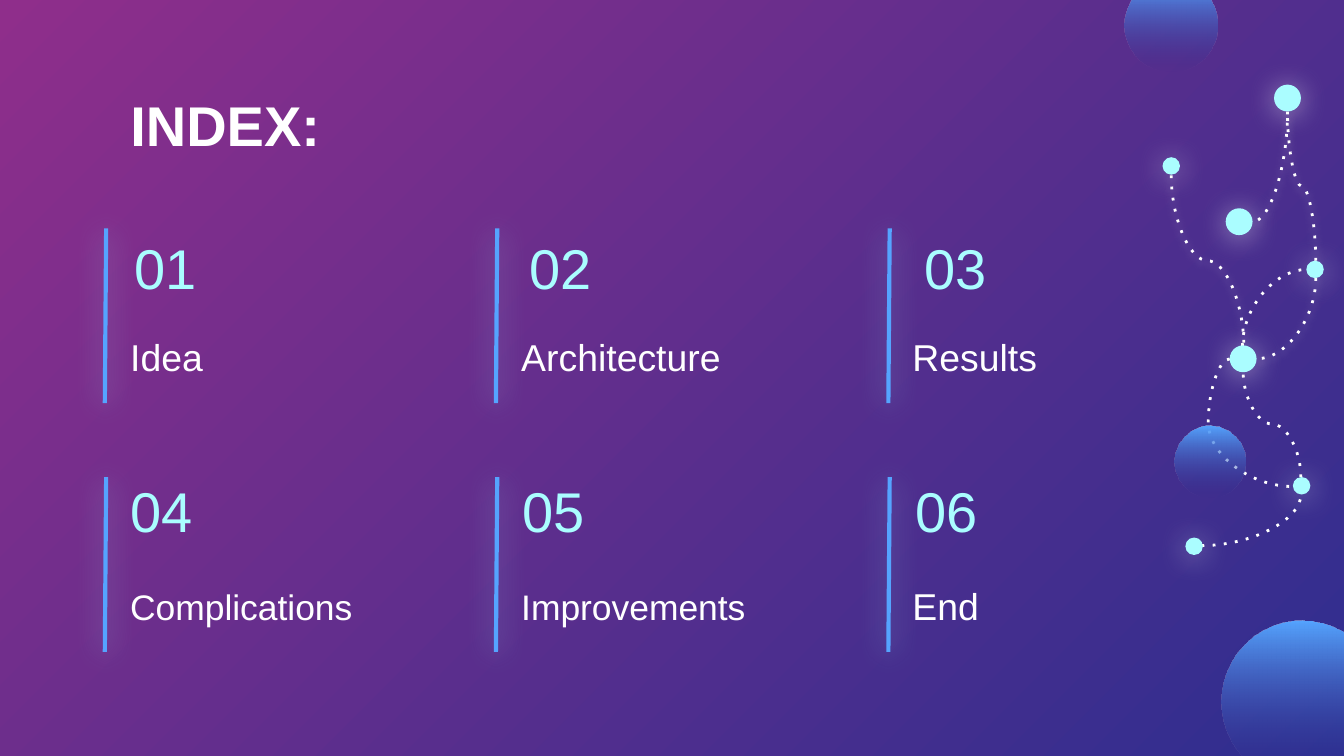
"""Build the index slide with six numbered topics and a dotted constellation."""
from dataclasses import dataclass
from typing import Optional

from lxml import etree
from pptx import Presentation
from pptx.dml.color import RGBColor
from pptx.enum.dml import MSO_LINE
from pptx.enum.shapes import MSO_CONNECTOR, MSO_SHAPE
from pptx.enum.text import MSO_ANCHOR, PP_ALIGN
from pptx.oxml.ns import qn
from pptx.util import Inches, Pt

STRAIGHT, CURVE = MSO_CONNECTOR.STRAIGHT, MSO_CONNECTOR.CURVE
OVAL = MSO_SHAPE.OVAL
ROUND_DOT = MSO_LINE.ROUND_DOT
TOP, MIDDLE, BOTTOM = MSO_ANCHOR.TOP, MSO_ANCHOR.MIDDLE, MSO_ANCHOR.BOTTOM
LEFT = PP_ALIGN.LEFT

WHITE, AQUA, SKY, NAVY, PLUM = "FFFFFF", "AAFDFF", "55A4FF", "2E2E8F", "8F2E8B"
FONT = "Arial"
COLUMN_PITCH = 2.91
ROW_PITCH = 1.85


@dataclass
class Topic:
    number: str
    name: str
    number_left: float
    name_width: float = 2.52
    name_size: float = 20


@dataclass
class Glow:
    colour: str
    blur: float = 15.8


@dataclass
class Disc:
    left: float
    top: float
    size: float


@dataclass
class Trail:
    left: float
    top: float
    width: float
    height: float
    rotation: int
    flipped: bool = False
    bend: Optional[float] = None
    glowing: bool = False


TOPIC_ROWS = [
    [Topic("01", "Idea", 0.9), Topic("02", "Architecture", 3.84), Topic("03", "Results", 6.78)],
    [
        Topic("04", "Complications", 0.87, 2.92, 19),
        Topic("05", "Improvements", 3.79, 2.75, 19),
        Topic("06", "End", 6.71),
    ],
]
NUMBER_TOPS = [1.74, 3.55]
BAR_LEFTS = [0.78, 3.69, 6.61]
TRAILS = [
    Trail(9.2, 2.05, 0.57, 0.48, 270),
    Trail(8.35, 1.67, 1.27, 0.54, 270, True, 0.5, True),
    Trail(9.13, 1.28, 1.11, 0.21, 90, True, 0.5, True),
    Trail(9.27, 2.15, 0.6, 0.44, 90, glowing=True),
    Trail(9.04, 1.11, 0.82, 0.26, 90, glowing=True),
    Trail(9.15, 2.67, 0.47, 0.95, 0, bend=-0.34),
    Trail(8.94, 3.68, 0.74, 0.38, 180, True),
    Trail(9.07, 2.94, 0.79, 0.43, 90, True, 0.5),
]
STARS = [
    Disc(9.12, 1.55, 0.2),
    Disc(9.15, 2.57, 0.2),
    Disc(9.48, 0.63, 0.2),
    Disc(8.65, 1.17, 0.13),
    Disc(9.72, 1.94, 0.13),
    Disc(9.62, 3.55, 0.13),
    Disc(8.82, 4, 0.13),
]
PLANETS = [Disc(8.37, -0.16, 0.69), Disc(9.09, 4.62, 1.2), Disc(8.74, 3.17, 0.53)]


def rgb(value: str) -> RGBColor:
    return RGBColor.from_string(value)


def set_effects(shape, glow: Optional[Glow] = None) -> None:
    effects = etree.SubElement(shape.element.spPr, qn("a:effectLst"))
    if glow:
        shadow = etree.SubElement(
            effects, qn("a:outerShdw"), blurRad=str(int(Pt(glow.blur))),
            dist=str(int(Pt(1.5))), dir="5400000", algn="bl", rotWithShape="0",
        )
        colour = etree.SubElement(shadow, qn("a:srgbClr"), val=glow.colour)
        etree.SubElement(colour, qn("a:alpha"), val="50000")


def set_gradient(fill, start: str, end: str, angle: float) -> None:
    fill.gradient()
    fill.gradient_angle = 360 - angle
    for stop, colour in zip(fill.gradient_stops, (start, end)):
        stop.color.rgb = rgb(colour)


def write(box, text: str, *, size: float, colour: str = WHITE, bold: bool = False,
          anchor=TOP) -> None:
    frame = box.text_frame
    frame.word_wrap = True
    frame.vertical_anchor = anchor
    frame.margin_left = frame.margin_right = Inches(0.1)
    frame.margin_top = frame.margin_bottom = Inches(0.1)
    paragraph = frame.paragraphs[0]
    paragraph.alignment = LEFT
    run = paragraph.add_run()
    run.text = text
    run.font.name, run.font.size, run.font.bold = FONT, Pt(size), bold
    run.font.color.rgb = rgb(colour)


def add_text(slide, left: float, top: float, width: float, height: float,
             text: str, **style) -> None:
    box = slide.shapes.add_textbox(Inches(left), Inches(top), Inches(width), Inches(height))
    write(box, text, **style)


def add_topic(slide, topic: Topic, column: int, row: int) -> None:
    shift, drop = column * COLUMN_PITCH, row * ROW_PITCH
    foot = BAR_LEFTS[column]
    bar = slide.shapes.add_connector(
        STRAIGHT, Inches(foot + 0.01), Inches(1.7 + drop), Inches(foot), Inches(3 + drop)
    )
    bar.line.color.rgb = rgb(SKY)
    bar.line.width = Pt(2.25)
    set_effects(bar, Glow(AQUA))
    add_text(slide, topic.number_left, NUMBER_TOPS[row], 1.12, 0.49, topic.number,
             size=30, colour=AQUA, anchor=MIDDLE)
    add_text(slide, 0.87 + shift, 2.35 + drop, topic.name_width, 0.57, topic.name,
             size=topic.name_size, anchor=BOTTOM)


def add_trail(slide, trail: Trail) -> None:
    start, end = trail.left, trail.left + trail.width
    if trail.flipped:
        start, end = end, start
    curve = slide.shapes.add_connector(
        CURVE, Inches(start), Inches(trail.top), Inches(end), Inches(trail.top + trail.height)
    )
    properties = curve.element.spPr
    properties.find(qn("a:xfrm")).set("rot", str(trail.rotation * 60000))
    geometry = properties.find(qn("a:prstGeom"))
    if trail.bend is None:
        geometry.set("prst", "curvedConnector2")
    else:
        etree.SubElement(geometry.find(qn("a:avLst")), qn("a:gd"), name="adj1",
                         fmla=f"val {round(trail.bend * 100000)}")
    curve.line.color.rgb = rgb(WHITE)
    curve.line.width = Pt(1.5)
    curve.line.dash_style = ROUND_DOT
    properties.find(".//" + qn("a:prstDash")).set("val", "dot")
    set_effects(curve, Glow(WHITE, 4.5) if trail.glowing else None)


def add_disc(slide, disc: Disc):
    shape = slide.shapes.add_shape(
        OVAL, Inches(disc.left), Inches(disc.top), Inches(disc.size), Inches(disc.size)
    )
    shape.line.fill.background()
    return shape


def add_star(slide, disc: Disc) -> None:
    star = add_disc(slide, disc)
    star.fill.solid()
    star.fill.fore_color.rgb = rgb(AQUA)
    set_effects(star, Glow(WHITE))


def add_planet(slide, disc: Disc) -> None:
    planet = add_disc(slide, disc)
    set_gradient(planet.fill, SKY, NAVY, 90)
    fading = planet.element.spPr.findall(".//" + qn("a:srgbClr"))[-1]
    etree.SubElement(fading, qn("a:alpha"), val="0")
    set_effects(planet)


def main() -> None:
    deck = Presentation()
    deck.slide_width, deck.slide_height = Inches(10), Inches(10 * 9 / 16)
    slide = deck.slides.add_slide(deck.slide_layouts[5])
    set_gradient(slide.background.fill, PLUM, NAVY, 45)
    title = slide.shapes.title
    title.left, title.top, title.width, title.height = map(Inches, (0.87, 0.57, 8.43, 0.63))
    write(title, "INDEX:", size=30, bold=True)
    for row, topics in enumerate(TOPIC_ROWS):
        for column, topic in enumerate(topics):
            add_topic(slide, topic, column, row)
    for draw, items in ((add_trail, TRAILS), (add_star, STARS), (add_planet, PLANETS)):
        for item in items:
            draw(slide, item)
    deck.save("out.pptx")


if __name__ == "__main__":
    main()
